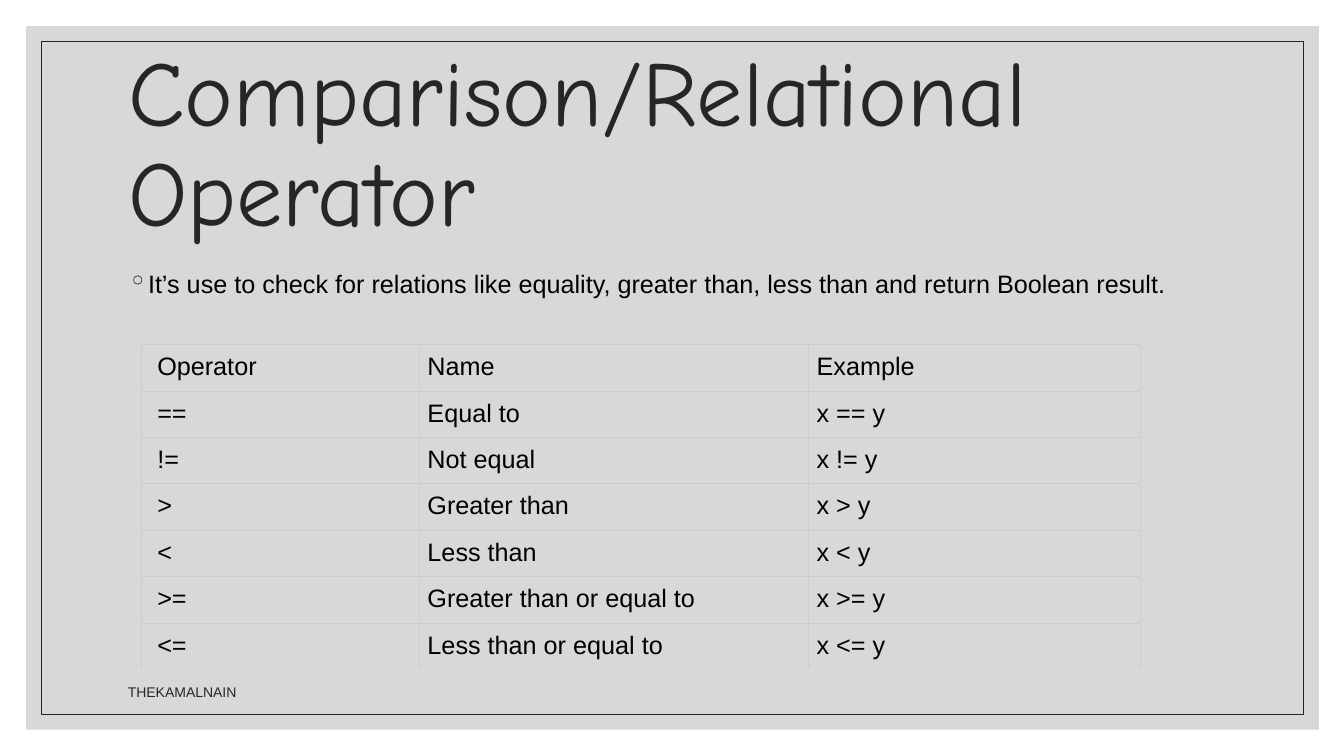
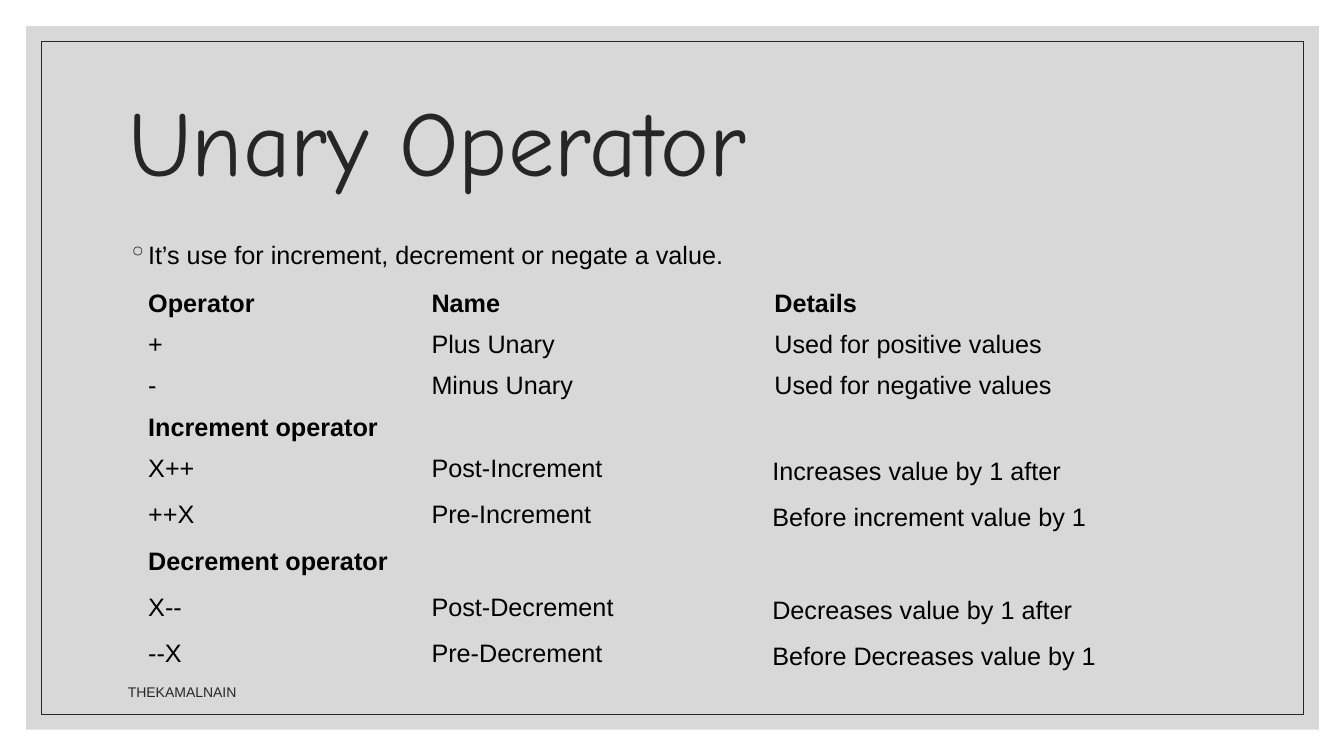
from lxml import etree
from pptx import Presentation
from pptx.dml.color import RGBColor
from pptx.enum.shapes import MSO_SHAPE as Shape
from pptx.enum.text import MSO_ANCHOR as Anchor, MSO_AUTO_SIZE as AutoSize, PP_ALIGN as Align
from pptx.oxml.ns import qn
from pptx.util import Pt

PX = 9144  # 100 px to the inch
WHITE = RGBColor(0xFF, 0xFF, 0xFF)
BLACK = RGBColor(0, 0, 0)
INK = RGBColor(0x26, 0x26, 0x26)
PANEL = RGBColor(0xBF, 0xBF, 0xBF)
GRID = RGBColor(0xCC, 0xCC, 0xCC)
GRID_END = RGBColor(0xDD, 0xDD, 0xDD)

TITLE = {"name": "Comic Neue", "size": Pt(66), "bold": False}
BODY = {"name": "Arial", "size": Pt(18), "bold": False}
HEADING = {**BODY, "bold": True}
FOOTER = {"name": "Arial", "size": Pt(10)}
LEFT = 117
NO_GRID_STYLE = "{2D5ABB26-0587-4C30-8999-92F81FD0307C}"

COMPARISONS = [
    ("Operator", "Name", "Example"),
    ("==", "Equal to", "x == y"),
    ("!=", "Not equal", "x != y"),
    (">", "Greater than", "x > y"),
    ("<", "Less than", "x < y"),
    (">=", "Greater than or equal to", "x >= y"),
    ("<=", "Less than or equal to", "x <= y"),
]
# A row with one entry is a subheading
UNARY = [
    ("Operator", "Name", "Details"),
    ("+", "Plus Unary", "Used for positive values"),
    ("-", "Minus Unary", "Used for negative values"),
    ("Increment operator",),
    ("X++", "Post-Increment", "Increases value by 1 after"),
    ("++X", "Pre-Increment", "Before increment value by 1"),
    ("Decrement operator",),
    ("X--", "Post-Decrement", "Decreases value by 1 after"),
    ("--X", "Pre-Decrement", "Before Decreases value by 1"),
]


def px(*lengths):
    return [length * PX for length in lengths]


def sub(parent, tag, **attributes):
    return etree.SubElement(parent, qn(tag), attributes)


def style(paragraph, text_format, color):
    for key, value in text_format.items():
        setattr(paragraph.font, key, value)
    paragraph.font.color.rgb = color


def add_frame(slide, layout):
    """Draw the panel and its thin border, then keep them on the layout."""
    panel = slide.shapes.add_shape(Shape.RECTANGLE, *px(26, 26, 1282, 698))
    panel.fill.solid()
    panel.fill.fore_color.rgb = PANEL
    sub(panel.fill._xPr.find(".//" + qn("a:srgbClr")), "a:alpha", val="60000")
    panel.line.fill.background()

    border = slide.shapes.add_shape(Shape.RECTANGLE, *px(41, 41, 1252, 668))
    border.fill.background()
    border.line.color.rgb = INK
    border.line.width = Pt(0.5)

    for position, shape in enumerate((panel, border), start=2):
        shape.shadow.inherit = False
        layout.shapes._spTree.insert(position, shape._element)


def add_text(slide, box, text, text_format, color, anchor=Anchor.TOP):
    frame = slide.shapes.add_textbox(*px(*box)).text_frame
    frame.word_wrap = True
    frame.vertical_anchor = anchor
    paragraph = frame.paragraphs[0]
    paragraph.text = text
    style(paragraph, text_format, color)
    return paragraph


def add_bullet(slide, top, text):
    paragraph = add_text(slide, (LEFT, top, 1100, 50), text, {}, BLACK)
    properties = paragraph._p.get_or_add_pPr()
    for child in list(properties):
        properties.remove(child)
    properties.set("marL", str(20 * PX))
    properties.set("indent", str(-20 * PX))
    sub(sub(properties, "a:buClr"), "a:srgbClr", val=str(INK))
    sub(properties, "a:buChar", char="◦")
    paragraph.line_spacing = 1.1
    style(paragraph, BODY, BLACK)


def add_slide(deck, layout, title, bullet_top, bullet):
    slide = deck.slides.add_slide(layout)
    heading = slide.shapes.title
    heading.left, heading.top, heading.width, heading.height = px(LEFT, 70, 1100, 150)
    frame = heading.text_frame
    frame.text = title
    frame.word_wrap = True
    frame.auto_size = AutoSize.NONE
    frame.vertical_anchor = Anchor.MIDDLE
    paragraph = frame.paragraphs[0]
    paragraph.alignment = Align.LEFT
    paragraph.line_spacing = 0.9
    style(paragraph, TITLE, INK)
    add_bullet(slide, bullet_top, bullet)
    add_text(slide, (LEFT, 660, 636, 40), "THEKAMALNAIN", FOOTER, INK, Anchor.BOTTOM)
    return slide


def add_borders(cell, bottom):
    properties = cell._tc.get_or_add_tcPr()
    for side, color in zip("LRTB", (GRID, GRID, GRID, bottom)):
        line = sub(properties, "a:ln" + side, w=str(Pt(0.75)))
        sub(sub(line, "a:solidFill"), "a:srgbClr", val=str(color))


def set_margins(cell, left, others):
    cell.margin_left = left * PX
    cell.margin_right = cell.margin_top = cell.margin_bottom = others * PX


def add_grid(slide, left, top, widths, heights, rows):
    """Place an unfilled table and write its rows."""
    size = sum(widths), sum(heights)
    graphic = slide.shapes.add_table(len(rows), len(widths), *px(left, top, *size))
    table = graphic.table
    table.first_row = table.horz_banding = False
    graphic._element.find(".//" + qn("a:tableStyleId")).text = NO_GRID_STYLE
    for column, width in zip(table.columns, widths):
        column.width = width * PX
    for row, height in zip(table.rows, heights):
        row.height = height * PX
    for row, texts in zip(table.rows, rows):
        for cell, text in zip(row.cells, texts):
            cell.text = text
        for cell in row.cells:
            style(cell.text_frame.paragraphs[0], BODY, BLACK)
    return table


def fill_comparisons(slide):
    table = add_grid(slide, 140, 342, (276, 386, 329), [46] * len(COMPARISONS), COMPARISONS)
    last = len(COMPARISONS) - 1
    for r, row in enumerate(table.rows):
        for c, cell in enumerate(row.cells):
            set_margins(cell, 16 if c == 0 else 8, 8)
            add_borders(cell, GRID_END if r == last else GRID)
            cell.fill.background()


def fill_unary(slide):
    short_rows = 4
    heights = [41 if r < short_rows else 45 for r in range(len(UNARY))]
    table = add_grid(slide, 137, 282, (281, 340, 439), heights, UNARY)
    for r, texts in enumerate(UNARY):
        if len(texts) == 1:
            table.cell(r, 0).merge(table.cell(r, 1))
        if r >= short_rows:
            set_margins(table.cell(r, 2), 8, 8)
        for cell in table.rows[r].cells:
            cell.fill.background()
            if r == 0 or len(texts) == 1:
                style(cell.text_frame.paragraphs[0], HEADING, BLACK)


def main():
    deck = Presentation()
    deck.slide_width, deck.slide_height = px(1333, 750)
    layout = deck.slide_layouts[5]
    background = deck.slide_master.background.fill
    background.solid()
    background.fore_color.rgb = WHITE

    # Comparison operators
    comparison = add_slide(
        deck, layout, "Comparison/Relational Operator", 258,
        "It’s use to check for relations like equality, greater than, "
        "less than and return Boolean result.")
    add_frame(comparison, layout)
    fill_comparisons(comparison)

    # Unary operators
    unary = add_slide(
        deck, layout, "Unary Operator", 230,
        "It’s use for increment, decrement or negate a value.")
    fill_unary(unary)

    deck.save("out.pptx")


if __name__ == "__main__":
    main()
